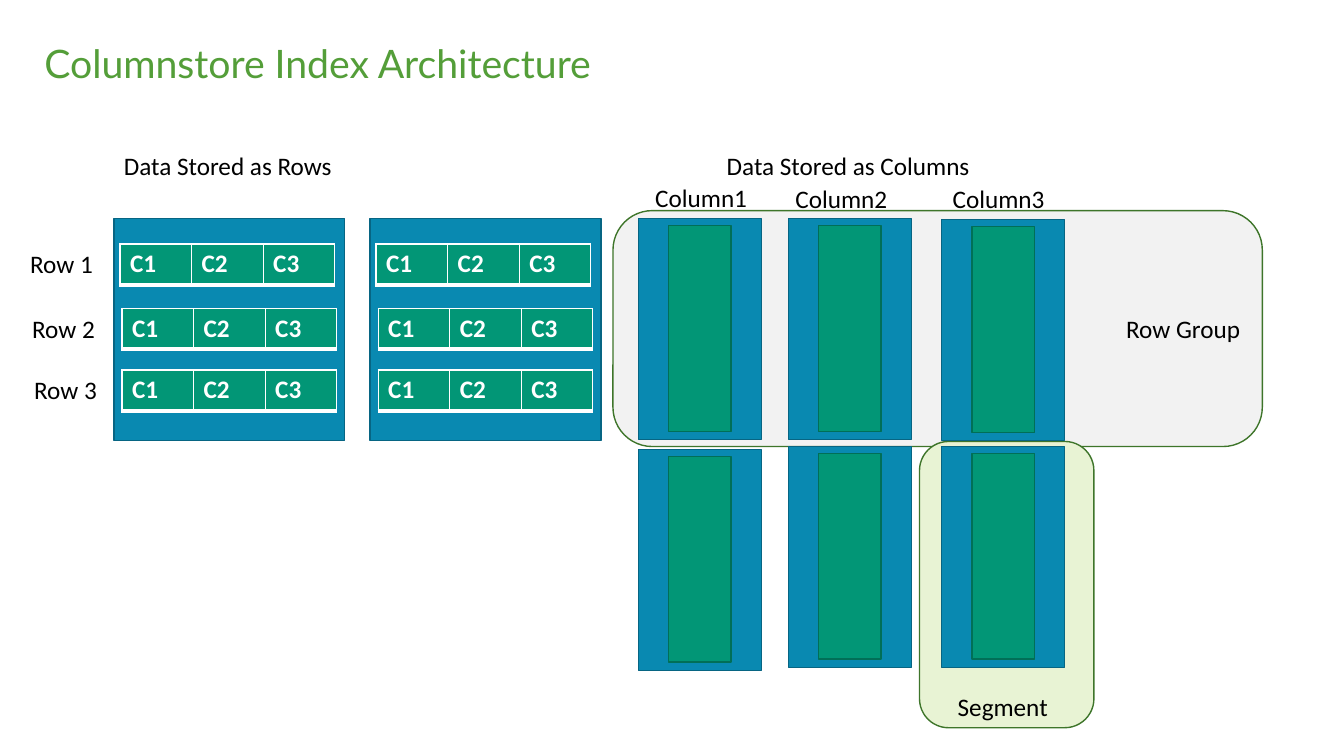
from lxml.etree import SubElement
from pptx import Presentation
from pptx.dml.color import RGBColor
from pptx.enum.shapes import MSO_SHAPE
from pptx.enum.text import MSO_ANCHOR, MSO_AUTO_SIZE, PP_ALIGN
from pptx.oxml.ns import qn
from pptx.util import Emu, Pt

PX = 9144  # EMU in one px, 100 px to the inch
SLIDE_SIZE = (1333, 750)

BLACK = RGBColor(0x00, 0x00, 0x00)
WHITE = RGBColor(0xFF, 0xFF, 0xFF)
TITLE_GREEN = RGBColor(0x54, 0x9E, 0x39)
OUTLINE_GREEN = RGBColor(0x3E, 0x75, 0x2A)
GROUP_GREY = RGBColor(0xF2, 0xF2, 0xF2)
SEGMENT_GREEN = RGBColor(0xE8, 0xF3, 0xD4)
BLUE = RGBColor(0x09, 0x89, 0xB1)
BLUE_EDGE = RGBColor(0x07, 0x65, 0x83)
TEAL = RGBColor(0x02, 0x96, 0x76)
TEAL_EDGE = RGBColor(0x01, 0x6F, 0x57)

TITLE = "Columnstore Index Architecture"
TITLE_BOX = (34, 25, 1150, 80)
ROW_GROUP_BOX = (608, 209, 644, 234)
SEGMENT_BOX = (912, 438, 173, 284)

LABELS = [  # text, left, top, width
    ("Data Stored as Rows", 113, 144, 229),
    ("Data Stored as Columns", 711, 144, 264),
    ("Column1", 640, 176, 112),
    ("Column2", 779, 177, 112),
    ("Column3", 935, 177, 112),
    ("Row 1", 20, 241, 83),
    ("Row 2", 22, 306, 83),
    ("Row 3", 24, 366, 83),
    ("Row Group", 1107, 306, 135),
    ("Segment", 940, 681, 111),
]
LABEL_HEIGHT = 40

ROW_PAGE_LEFTS = [113, 367]
ROW_PAGE_TOP = 217
ROW_PAGE_SIZE = (229, 220)
ROW_OFFSETS = [(6, 25), (8, 89), (8, 150)]  # from the corner of a page
ROW_CELLS = ["C1", "C2", "C3"]
CELL_SIZE = (71, 40)
CELL_BORDERS = {"a:lnL": 1, "a:lnR": 1, "a:lnT": 1, "a:lnB": 3}

COLUMN_PAGES = {633: (217, 446), 782: (217, 443), 934: (218, 443)}  # left: tops
COLUMN_PAGE_SIZE = (122, 219)
COLUMN_DATA_SIZE = (62, 204)


def emu(lengths):
    return [Emu(length * PX) for length in lengths]


def write_text(frame, text, font="Calibri", size=18, color=BLACK, bold=False):
    paragraph = frame.paragraphs[0]
    paragraph.alignment = PP_ALIGN.LEFT
    run = paragraph.add_run()
    run.text = text
    run.font.name = font
    run.font.size = Pt(size)
    run.font.bold = bold
    run.font.color.rgb = color
    return paragraph


def add_box(slide, box, fill, edge, kind=MSO_SHAPE.RECTANGLE):
    shape = slide.shapes.add_shape(kind, *emu(box))
    shape.shadow.inherit = False
    shape.fill.solid()
    shape.fill.fore_color.rgb = fill
    shape.line.color.rgb = edge
    shape.line.width = Pt(1)


def add_label(slide, text, left, top, width):
    frame = slide.shapes.add_textbox(*emu((left, top, width, LABEL_HEIGHT))).text_frame
    frame.word_wrap = False
    frame.auto_size = MSO_AUTO_SIZE.SHAPE_TO_FIT_TEXT
    write_text(frame, text)


def add_borders(cell):
    properties = cell._tc.get_or_add_tcPr()
    for tag, points in CELL_BORDERS.items():
        line = SubElement(properties, qn(tag), w=str(Pt(points)))
        fill = SubElement(line, qn("a:solidFill"))
        SubElement(fill, qn("a:srgbClr"), val=str(WHITE))


def add_row_table(slide, left, top):
    width, height = CELL_SIZE
    box = (left, top, width * len(ROW_CELLS), height)
    table = slide.shapes.add_table(1, len(ROW_CELLS), *emu(box)).table
    table.horz_banding = False
    for cell, text in zip(table.iter_cells(), ROW_CELLS):
        add_borders(cell)
        cell.fill.solid()
        cell.fill.fore_color.rgb = TEAL
        write_text(cell.text_frame, text, color=WHITE, bold=True)


def add_row_page(slide, left):
    add_box(slide, (left, ROW_PAGE_TOP, *ROW_PAGE_SIZE), BLUE, BLUE_EDGE)
    for across, down in ROW_OFFSETS:
        add_row_table(slide, left + across, ROW_PAGE_TOP + down)


def add_column_page(slide, left, top):
    """Draw a page with its column data centred in it."""
    add_box(slide, (left, top, *COLUMN_PAGE_SIZE), BLUE, BLUE_EDGE)
    across, down = [(page - data) // 2
                    for page, data in zip(COLUMN_PAGE_SIZE, COLUMN_DATA_SIZE)]
    add_box(slide, (left + across, top + down, *COLUMN_DATA_SIZE), TEAL, TEAL_EDGE)


def set_title(slide):
    title = slide.shapes.title
    title.left, title.top, title.width, title.height = emu(TITLE_BOX)
    title.text_frame.vertical_anchor = MSO_ANCHOR.MIDDLE
    paragraph = write_text(title.text_frame, TITLE, font="Lato", size=28,
                           color=TITLE_GREEN)
    paragraph.line_spacing = 0.9


def main():
    presentation = Presentation()
    presentation.slide_width, presentation.slide_height = emu(SLIDE_SIZE)
    slide = presentation.slides.add_slide(presentation.slide_layouts[5])
    set_title(slide)
    for box, fill in ((ROW_GROUP_BOX, GROUP_GREY), (SEGMENT_BOX, SEGMENT_GREEN)):
        add_box(slide, box, fill, OUTLINE_GREEN, MSO_SHAPE.ROUNDED_RECTANGLE)
    for left in ROW_PAGE_LEFTS:
        add_row_page(slide, left)
    for left, tops in COLUMN_PAGES.items():
        for top in tops:
            add_column_page(slide, left, top)
    for label in LABELS:
        add_label(slide, *label)
    presentation.save("out.pptx")


if __name__ == "__main__":
    main()
